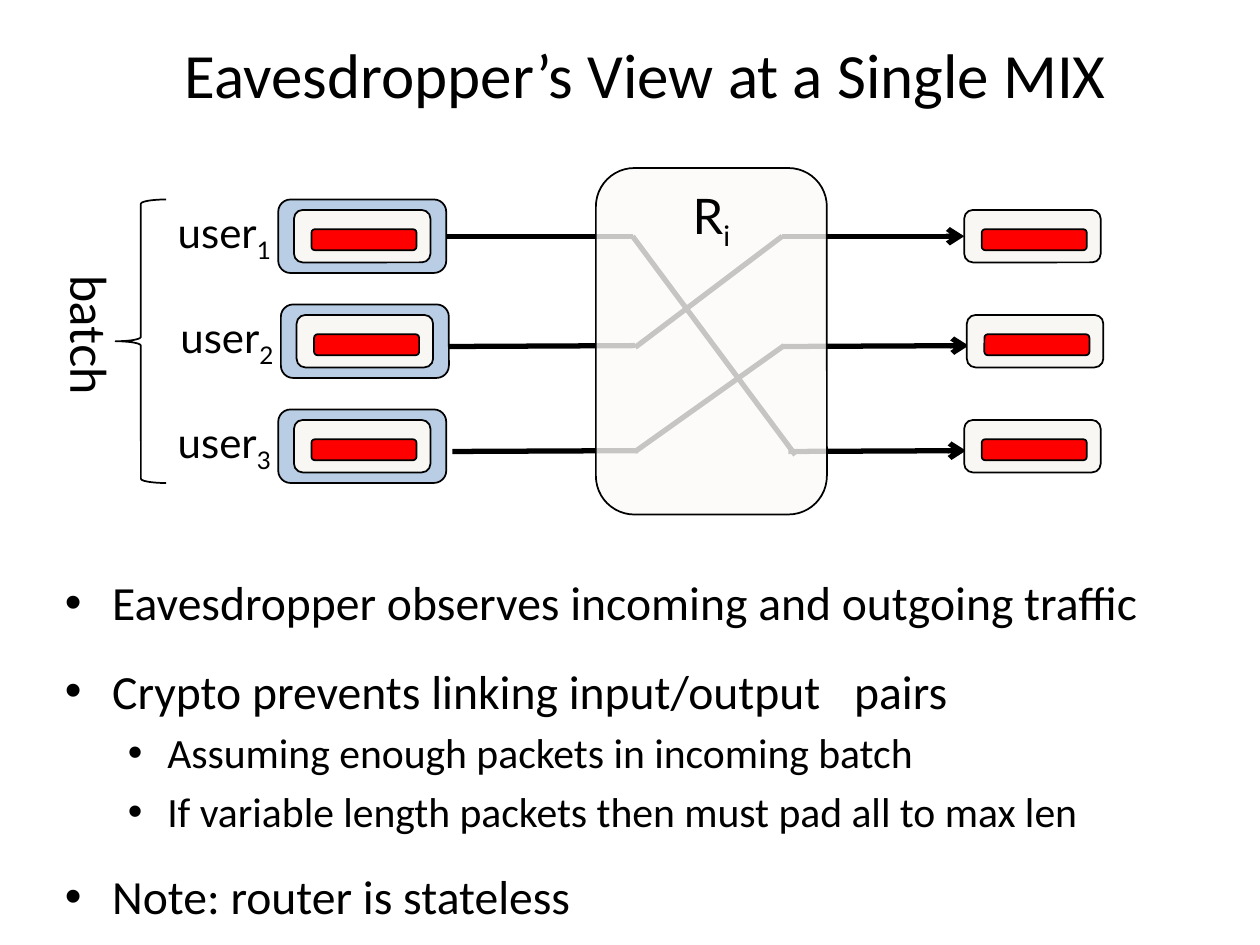
from lxml import etree
from pptx import Presentation
from pptx.dml.color import RGBColor
from pptx.enum.shapes import MSO_CONNECTOR, MSO_SHAPE
from pptx.enum.text import MSO_ANCHOR, PP_ALIGN
from pptx.oxml.ns import qn
from pptx.util import Pt

LINE = MSO_CONNECTOR.STRAIGHT
ROUND, BRACE = MSO_SHAPE.ROUNDED_RECTANGLE, MSO_SHAPE.LEFT_BRACE
MIDDLE, TOP = MSO_ANCHOR.MIDDLE, MSO_ANCHOR.TOP
CENTER, LEFT = PP_ALIGN.CENTER, PP_ALIGN.LEFT

BLACK = RGBColor(0x00, 0x00, 0x00)
BLUE = RGBColor(0xB9, 0xCD, 0xE5)
CREAM = RGBColor(0xF8, 0xF7, 0xF3)
RED = RGBColor(0xFF, 0x00, 0x00)
PALE = RGBColor(0xFC, 0xFB, 0xF9)

# Packet layers: offset x, offset y, width, height, fill, corner
LAYERS = [
    (0, 0, 96, 42, BLUE, 0.1667),
    (9, 6, 78, 30, CREAM, 0.1667),
    (19, 17, 60, 12, RED, 0.1667),
]
ROWS = [114, 174, 234]
SHIFTS = [0, 1.5, 0]


def draw(home, kind, area, fill, corner):
    shape = home.add_shape(kind, *map(Pt, area))
    shape.shadow.inherit = False
    shape.adjustments[0] = corner
    if fill is None:
        shape.fill.background()
    else:
        shape.fill.solid()
        shape.fill.fore_color.rgb = fill
    shape.line.color.rgb = BLACK
    shape.line.width = Pt(1)
    return shape


def write(frame, text, size, sub="", align=LEFT, face="Lato"):
    """Fill the first paragraph, with an optional subscript after it."""
    para = frame.paragraphs[0]
    para.alignment = align
    for part in filter(None, (text, sub)):
        run = para.add_run()
        run.text = part
        style = {"name": face, "size": Pt(size)}
        for key, value in style.items():
            setattr(run.font, key, value)
        run.font.color.rgb = BLACK
        if part == sub:
            run._r.get_or_add_rPr().set("baseline", "-25000")


deck = Presentation()
deck.slide_width, deck.slide_height = Pt(720), Pt(540)
slide = deck.slides.add_slide(deck.slide_layouts[5])
shapes = slide.shapes

# Title
title = shapes.title
place = {"left": 48, "top": 6, "width": 642, "height": 72}
for key, value in place.items():
    setattr(title, key, Pt(value))
title.text_frame.vertical_anchor = MIDDLE
write(title.text_frame, "Eavesdropper’s View at a Single MIX", 36,
      align=CENTER, face="Calibri")

# Bullets: text, level, space before
points = [
    ("Eavesdropper observes incoming and outgoing traffic", 0, 0),
    ("Crypto prevents linking input/output\tpairs", 0, 18),
    ("Assuming enough packets in incoming batch", 1, 4.8),
    ("If variable length packets then must pad all to max len", 1, 4.8),
    ("Note: router is stateless", 0, 18),
]
LEVELS = [(27, -27, 27.2), (58.5, -22.5, 23.8)]  # margin, indent, size
body = shapes.add_textbox(Pt(30), Pt(324), Pt(672), Pt(216)).text_frame
body.word_wrap = True
for num, (text, level, gap) in enumerate(points):
    para = body.add_paragraph() if num else body.paragraphs[0]
    margin, indent, size = LEVELS[level]
    para.level = level
    para.space_before = Pt(gap)
    props = para._p.get_or_add_pPr()
    props.set("marL", str(Pt(margin)))
    props.set("indent", str(Pt(indent)))
    etree.SubElement(props, qn("a:buFont"), typeface="Arial")
    etree.SubElement(props, qn("a:buChar"), char="•")
    if "\t" in text:
        tabs = etree.SubElement(props, qn("a:tabLst"))
        etree.SubElement(tabs, qn("a:tab"), pos=str(Pt(451)), algn="l")
    run = para.add_run()
    run.text = text
    run.font.name = "Calibri"
    run.font.size = Pt(size)
    run.font.color.rgb = BLACK

# Incoming packets with their users
users = []
for num, (top, shift) in enumerate(zip(ROWS, SHIFTS), 1):
    group = shapes.add_group_shape().shapes
    parts = [draw(group, ROUND, (159 + shift + x, top + y, w, h), fill, corner)
             for x, y, w, h, fill, corner in LAYERS]
    users.append(parts[0])
    label = group.add_textbox(Pt(94.5 + shift), Pt(top + 0.5), Pt(69), Pt(36))
    label.text_frame.word_wrap = False
    write(label.text_frame, "user", 24, str(num))

# Wires: start, end, arrowhead
wires = [
    ((255, 135), (361.5, 135), False),
    ((256.5, 198), (363, 197.5), False),
    ((258.5, 258), (364.5, 257.5), False),
    ((447, 135), (551, 135), True),
    ((447, 198), (553.5, 197.5), True),
    ((450.5, 258), (552, 257.5), True),
    ((361.5, 135), (454.5, 260), False),
    ((363, 198.5), (447, 135), False),
    ((363, 258), (448, 197.5), False),
]
lines = []
for start, end, arrow in wires:
    wire = shapes.add_connector(LINE, *map(Pt, start + end))
    wire.line.color.rgb = BLACK
    wire.line.width = Pt(3)
    if arrow:
        etree.SubElement(wire.line._get_or_add_ln(), qn("a:tailEnd"), type="arrow")
    etree.SubElement(wire._element.spPr, qn("a:effectLst"))
    lines.append(wire)
lines[0].begin_connect(users[0], 3)

# Outgoing packets, without the outer layer
exits = []
for top, shift in zip(ROWS, SHIFTS):
    parts = [draw(shapes, ROUND, (542 + shift + x, top + y, w, h), fill, corner)
             for x, y, w, h, fill, corner in LAYERS[1:]]
    exits.append(parts[0])
lines[3].end_connect(exits[0], 1)

# Router
router = draw(shapes, ROUND, (340.5, 96, 132, 198), PALE, 0.1667)
color = router.fill._xPr.find(qn("a:solidFill"))[0]
etree.SubElement(color, qn("a:alpha"), val="79000")
router.text_frame.word_wrap = False
router.text_frame.vertical_anchor = TOP
write(router.text_frame, "R", 28, "i", CENTER)

# Batch
brace = draw(shapes, BRACE, (66, 114, 29, 162), None, 0.084)
batch = shapes.add_textbox(Pt(9.5), Pt(171.5), Pt(83.5), Pt(41))
batch.rotation = 90
batch.text_frame.word_wrap = False
write(batch.text_frame, "batch", 28)

deck.save("out.pptx")
